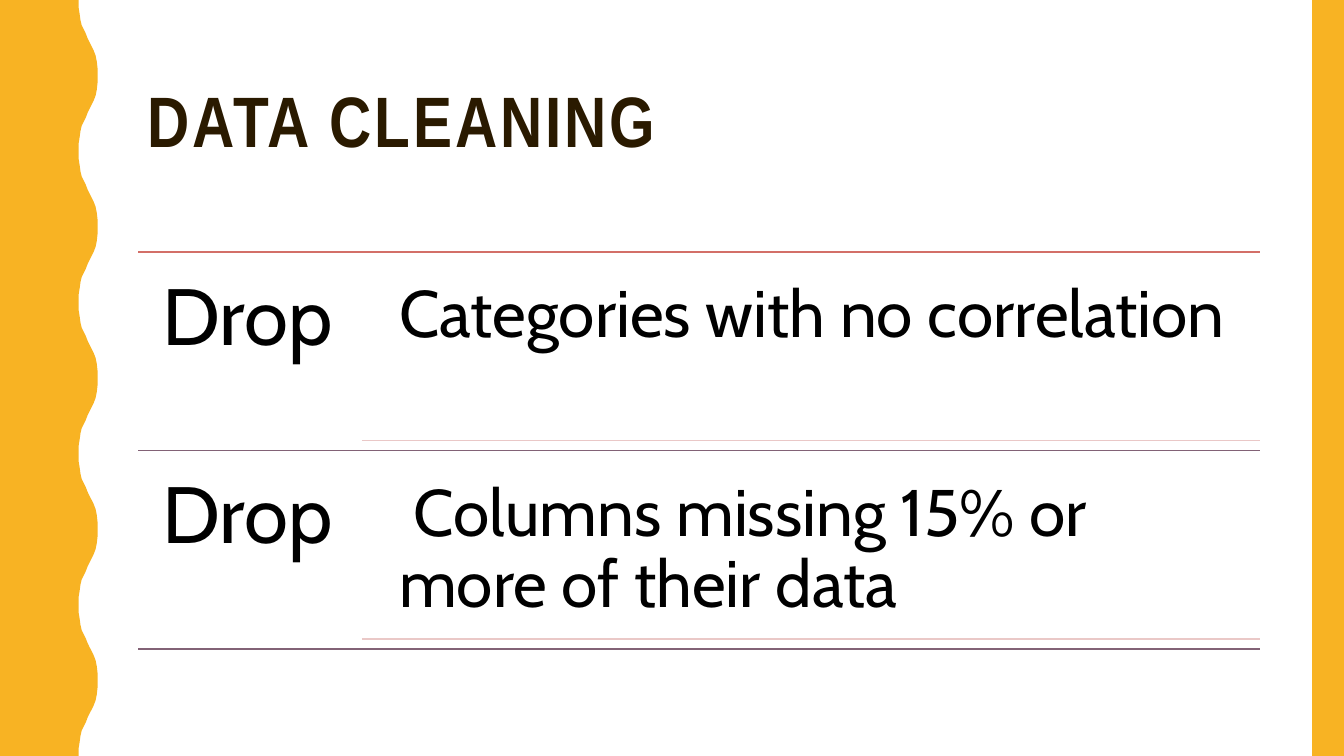
from lxml import etree
from pptx import Presentation
from pptx import util as u
from pptx.dml.color import RGBColor
from pptx.enum import shapes, text
from pptx.oxml.ns import qn

WIDTH, HEIGHT = 33.87, 19.05
LEFT, RIGHT = 3.48, 31.75
TOP, ROW = 6.35, 5.0
GOLD = "F8B323"

# Half a wave of the left edge, as (x, y) in cm
PERIOD = 3.81
HALF_WAVE = [
    (1.98, 0), (1.98, 0.18), (2.01, 0.36), (2.03, 0.51), (2.06, 0.64),
    (2.11, 0.74), (2.16, 0.84), (2.21, 0.97), (2.26, 1.07), (2.31, 1.17),
    (2.36, 1.27), (2.41, 1.4), (2.44, 1.55), (2.46, 1.73), (2.46, 1.9),
]

# Label, description and colour of the line above
ROWS = [
    ("Drop", "Categories with no correlation", "D36F68"),
    ("Drop", " Columns missing 15% or more of their data", "826276"),
]


def rgb(color):
    return RGBColor.from_string(color)


def paint(sp, color):
    sp.fill.solid()
    sp.fill.fore_color.rgb = rgb(color)
    sp.line.fill.background()
    sp.shadow.inherit = False


def add_wave(s):
    wave = HALF_WAVE + [(x, PERIOD - y) for x, y in HALF_WAVE[-2:0:-1]]
    edge = [(x, y + i * PERIOD) for i in range(5) for x, y in wave]
    points = edge + [(HALF_WAVE[0][0], HEIGHT), (0, HEIGHT)]
    fb = s.shapes.build_freeform(0, 0)
    fb.add_line_segments([(u.Cm(x), u.Cm(y)) for x, y in points], close=True)
    paint(fb.convert_to_shape(), GOLD)


def add_bar(s, x, y, w, h):
    box = (u.Cm(v) for v in (x, y, w, h))
    paint(s.shapes.add_shape(shapes.MSO_SHAPE.RECTANGLE, *box), GOLD)


def add_rule(s, x, y, color):
    line = s.shapes.add_connector(
        shapes.MSO_CONNECTOR.STRAIGHT, u.Cm(x), u.Cm(y), u.Cm(RIGHT), u.Cm(y))
    line.line.color.rgb = rgb(color)
    line.line.width = u.Pt(1)
    etree.SubElement(line._element.spPr, qn("a:effectLst"))


def add_text(s, x, y, w, h, content, size, font="Cabin", color="000000", inset=None):
    tf = s.shapes.add_textbox(u.Cm(x), u.Cm(y), u.Cm(w), u.Cm(h)).text_frame
    tf.word_wrap = True
    if inset is not None:
        tf.margin_left = tf.margin_right = u.Cm(inset)
        tf.margin_top = tf.margin_bottom = u.Cm(inset)
    p = tf.paragraphs[0]
    p.line_spacing = 0.9
    p.add_run().text = content
    p.font.name = font
    p.font.size = u.Pt(size)
    p.font.color.rgb = rgb(color)
    return tf


def add_title(s, content):
    tf = add_text(s, LEFT, 1.07, RIGHT - LEFT, 4.14, content, 51,
                  "Arial Narrow", "2A1A00")
    tf.vertical_anchor = text.MSO_ANCHOR.MIDDLE
    p = tf.paragraphs[0]
    p.font.bold = True
    p.runs[0].font._element.set("spc", "200")


def add_row(s, y, label, description, color):
    add_rule(s, LEFT, y, color)
    add_text(s, LEFT, y, 5.66, ROW, label, 57, inset=0.61)
    add_text(s, 9.55, y + 0.22, RIGHT - 9.55, 4.53, description, 47, inset=0.51)
    add_rule(s, 9.12, y + 4.75, "EAC8C7")


def main():
    prs = Presentation()
    prs.slide_width, prs.slide_height = u.Cm(WIDTH), u.Cm(HEIGHT)
    s = prs.slides.add_slide(prs.slide_layouts[6])

    # Title and side decoration
    add_title(s, "DATA CLEANING")
    add_wave(s)
    add_bar(s, 33.07, 0, WIDTH - 33.07, HEIGHT)

    # Cleaning steps, closed by a last line
    for i, row in enumerate(ROWS):
        add_row(s, TOP + i * ROW, *row)
    add_rule(s, LEFT, TOP + len(ROWS) * ROW, "826276")

    prs.save("out.pptx")


if __name__ == "__main__":
    main()
